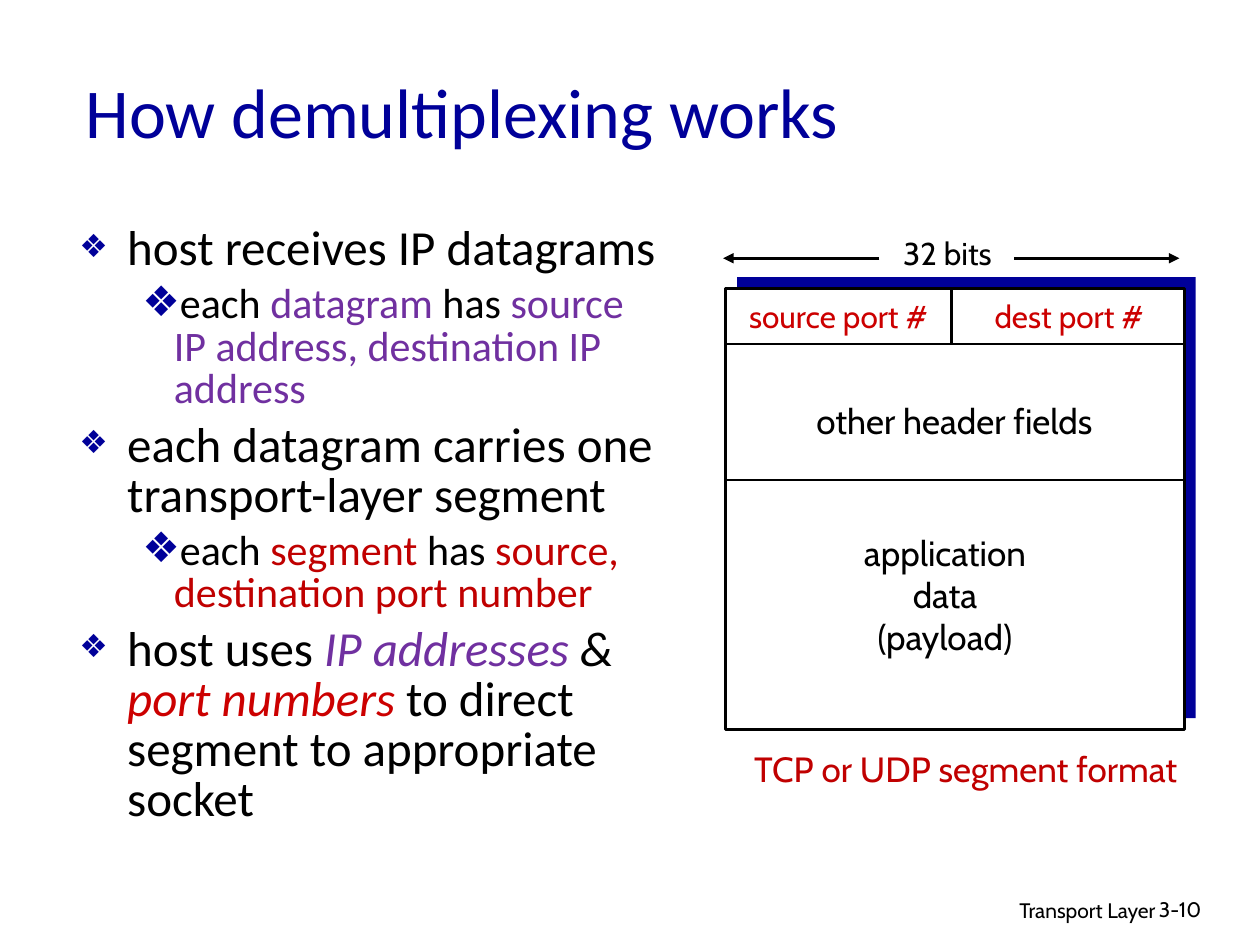
from lxml.etree import SubElement
from pptx import Presentation
from pptx.dml.color import RGBColor
from pptx.enum.shapes import MSO_CONNECTOR as Connector, MSO_SHAPE as Shape
from pptx.enum.text import MSO_ANCHOR as Anchor, MSO_AUTO_SIZE as AutoSize, PP_ALIGN as Align
from pptx.oxml.ns import qn
from pptx.util import Inches, Pt

THEME = {
    "navy": "000099", "black": "000000", "white": "FFFFFF",
    "purple": "7030A0", "crimson": "C00000", "red": "CC0000",
    "heading_font": "Calibri", "diagram_font": "Cabin",
    "title_size": 40, "level_sizes": (28, 24),
    "large": 20, "medium": 18, "small": 12, "line": 1.5,
}

TITLE = "How demultiplexing works"

# (level, [(text, colour, italic)])
POINTS = [
    (0, [("host receives IP datagrams", "black", False)]),
    (1, [("each ", "black", False), ("datagram", "purple", False),
         (" has ", "black", False),
         ("source IP address, destination IP address", "purple", False)]),
    (0, [("each datagram carries one transport-layer segment", "black", False)]),
    (1, [("each ", "black", False), ("segment", "crimson", False),
         (" has ", "black", False),
         ("source, destination port number", "crimson", False)]),
    (0, [("host uses ", "black", False), ("IP addresses ", "purple", True),
         ("&", "black", True), (" port numbers", "red", True),
         (" to direct segment to appropriate socket", "black", False)]),
]
# (margin, indent, bullet size in percent) per level
BULLETS = [(0.38, -0.38, 65), (0.75, -0.25, 100)]

SEGMENT_LEFT, SEGMENT_TOP, SEGMENT_WIDTH, SEGMENT_HEIGHT = 5.76, 2.29, 3.64, 3.5
SEGMENT_RIGHT = SEGMENT_LEFT + SEGMENT_WIDTH
SHADOW_OFFSET = 0.09
PORTS_BOTTOM, HEADER_BOTTOM, PORT_SPLIT = 2.73, 3.81, 7.55
RULER_Y = 2.05

# (text, left, top, width, height, size, colour)
LABELS = [
    ("source port #", 5.8, 2.31, 1.71, 0.4, "medium", "red"),
    ("dest port #", 7.76, 2.31, 1.45, 0.4, "medium", "red"),
    ("32 bits", 7.05, 1.81, 0.94, 0.4, "medium", "black"),
    ("application\ndata\n(payload)", 6.74, 4.17, 1.52, 1.1, "large", "black"),
    ("other header fields", 6.32, 3.12, 2.51, 0.43, "large", "black"),
    ("TCP or UDP segment format", 5.82, 5.88, 3.69, 0.44, "large", "crimson"),
]
FOOTERS = [
    ("Transport Layer", 6.1, 7.07, 3.17, 0.31, Align.RIGHT),
    ("3-10", 9.1, 7.07, 0.74, 0.3, Align.LEFT),
]


def color(name):
    return RGBColor.from_string(THEME[name])


def place(shape, left, top, width, height):
    shape.left, shape.top = Inches(left), Inches(top)
    shape.width, shape.height = Inches(width), Inches(height)


def style(font, family, size, color_name, italic=False):
    font.name, font.size, font.italic = THEME[family], Pt(size), italic
    font.color.rgb = color(color_name)


def add_bullet(paragraph, level):
    margin, indent, percent = BULLETS[level]
    props = paragraph._p.get_or_add_pPr()
    props.set("marL", str(Inches(margin)))
    props.set("indent", str(Inches(indent)))
    bullet_color = SubElement(props, qn("a:buClr"))
    SubElement(bullet_color, qn("a:srgbClr"), val=THEME["navy"])
    SubElement(props, qn("a:buSzPct"), val=str(percent * 1000))
    SubElement(props, qn("a:buChar"), char="❖")


def fill_title(title):
    place(title, 0.58, 0.25, 8.5, 1.25)
    frame = title.text_frame
    frame.text = TITLE
    frame.auto_size, frame.vertical_anchor = AutoSize.NONE, Anchor.MIDDLE
    frame.paragraphs[0].alignment = Align.LEFT
    style(frame.paragraphs[0].runs[0].font, "heading_font", THEME["title_size"], "navy")


def fill_points(body):
    place(body, 0.53, 1.74, 4.85, 3.05)
    frame = body.text_frame
    frame.auto_size, frame.vertical_anchor = AutoSize.NONE, Anchor.TOP
    for number, (level, parts) in enumerate(POINTS):
        point = frame.add_paragraph() if number else frame.paragraphs[0]
        size = THEME["level_sizes"][level]
        point.level = level
        add_bullet(point, level)
        point.line_spacing = 0.85
        point.space_before = Pt(round(size * 0.2, 1) if number else 0)
        for text, color_name, italic in parts:
            run = point.add_run()
            run.text = text
            style(run.font, "heading_font", size, color_name, italic)


def add_label(slide, text, box, size, color_name, align=Align.CENTER, wrap=False):
    label = slide.shapes.add_textbox(*map(Inches, box))
    frame = label.text_frame
    frame.text = text
    frame.word_wrap = wrap
    for paragraph in frame.paragraphs:
        paragraph.alignment = align
        style(paragraph.runs[0].font, "diagram_font", THEME[size], color_name)


def add_block(slide, left, top, fill, outline=None):
    block = slide.shapes.add_shape(
        Shape.RECTANGLE, *map(Inches, (left, top, SEGMENT_WIDTH, SEGMENT_HEIGHT)))
    block.shadow.inherit = False
    block.fill.solid()
    block.fill.fore_color.rgb = color(fill)
    if outline:
        block.line.color.rgb = color(outline)
        block.line.width = Pt(THEME["line"])
    else:
        block.line.fill.background()


def add_line(slide, x1, y1, x2, y2, arrow=False):
    line = slide.shapes.add_connector(
        Connector.STRAIGHT, *map(Inches, (x1, y1, x2, y2)))
    line.line.color.rgb = color("black")
    line.line.width = Pt(THEME["line"])
    if arrow:
        SubElement(line.line._get_or_add_ln(), qn("a:tailEnd"), type="triangle")
    SubElement(line._element.spPr, qn("a:effectLst"))


def draw_segment(slide):
    add_block(slide, SEGMENT_LEFT + SHADOW_OFFSET, SEGMENT_TOP - SHADOW_OFFSET, "navy")
    add_block(slide, SEGMENT_LEFT, SEGMENT_TOP, "white", "black")
    for y in (PORTS_BOTTOM, HEADER_BOTTOM):
        add_line(slide, SEGMENT_LEFT, y, SEGMENT_RIGHT, y)
    add_line(slide, PORT_SPLIT, PORTS_BOTTOM, PORT_SPLIT, SEGMENT_TOP)
    for start, end in ((8.05, 9.36), (6.98, 5.74)):
        add_line(slide, start, RULER_Y, end, RULER_Y, arrow=True)
    for text, *box, size, color_name in LABELS:
        add_label(slide, text, box, size, color_name)


def main():
    deck = Presentation()
    deck.slide_width, deck.slide_height = Inches(10), Inches(7.5)
    slide = deck.slides.add_slide(deck.slide_layouts[1])
    fill_title(slide.shapes.title)
    fill_points(slide.placeholders[1])
    draw_segment(slide)
    for text, *box, align in FOOTERS:
        add_label(slide, text, box, "small", "black", align, wrap=True)
    deck.save("out.pptx")


if __name__ == "__main__":
    main()
